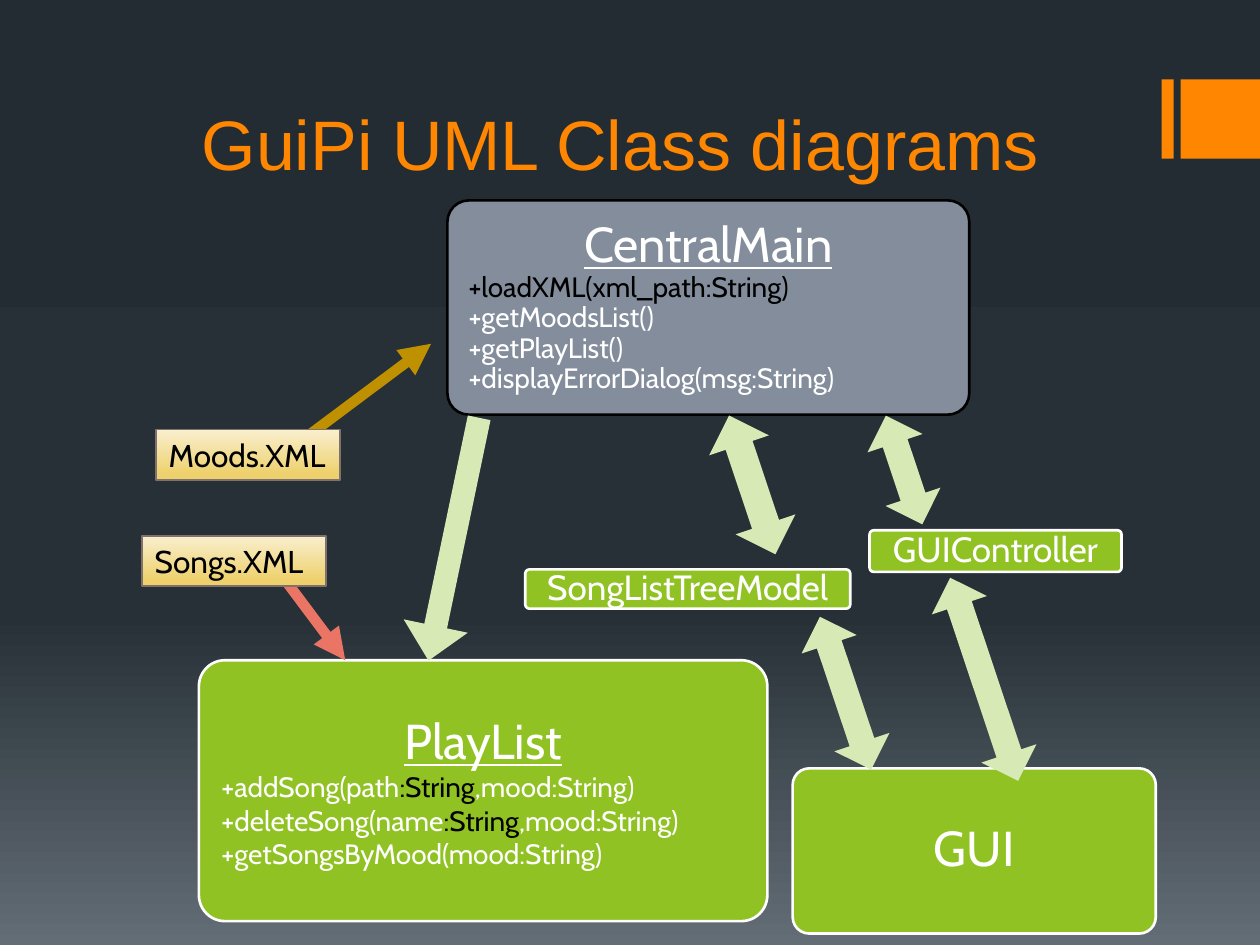
from lxml import etree
from pptx import Presentation
from pptx.dml.color import RGBColor
from pptx.enum.shapes import MSO_CONNECTOR, MSO_SHAPE
from pptx.enum.text import MSO_ANCHOR, MSO_AUTO_SIZE, PP_ALIGN
from pptx.oxml.ns import qn
from pptx.util import Cm, Pt

RECTANGLE = MSO_SHAPE.RECTANGLE
ROUNDED = MSO_SHAPE.ROUNDED_RECTANGLE
DOUBLE_ARROW = MSO_SHAPE.LEFT_RIGHT_ARROW
LEFT_ARROW = MSO_SHAPE.LEFT_ARROW
STRAIGHT = MSO_CONNECTOR.STRAIGHT
TOP, MIDDLE, BOTTOM = MSO_ANCHOR.TOP, MSO_ANCHOR.MIDDLE, MSO_ANCHOR.BOTTOM
LEFT, CENTER = PP_ALIGN.LEFT, PP_ALIGN.CENTER
NO_AUTOFIT = MSO_AUTO_SIZE.NONE

ORANGE, GREEN, PALE_GREEN = "FF8600", "90C223", "D7E9B4"
SLATE, WHITE, BLACK = "838D9B", "FFFFFF", "000000"
BACKDROP = [(0, "242C33"), (65, "273037"), (100, "636D76")]
FILE_FILL = [(0, "F9EFCF"), (88, "EED16D"), (100, "EED16D")]
ARROW_TILT = 71.5


def rgb(value):
    return RGBColor.from_string(value)


def fill_gradient(owner, fill, stops):
    fill.gradient()
    fill.gradient_angle = 270
    stop_list = owner.find(".//" + qn("a:gsLst"))
    for stop in list(stop_list):
        stop_list.remove(stop)
    for percent, color in stops:
        stop = etree.SubElement(stop_list, qn("a:gs"), pos=str(percent * 1000))
        etree.SubElement(stop, qn("a:srgbClr"), val=color)


def add_box(page, kind, box, fill, line=None, width=1.5):
    shape = page.shapes.add_shape(kind, *map(Cm, box))
    shape.shadow.inherit = False
    if isinstance(fill, list):
        fill_gradient(shape.element, shape.fill, fill)
    else:
        shape.fill.solid()
        shape.fill.fore_color.rgb = rgb(fill)
    if line:
        shape.line.color.rgb = rgb(line)
        shape.line.width = Pt(width)
    else:
        shape.line.fill.background()
    return shape


def write(para, text, font="Cabin", size=16, color=WHITE, underline=False,
          align=LEFT, spacing=1.0, after=0):
    para.alignment = align
    para.line_spacing = spacing
    para.space_before = Pt(0)
    para.space_after = Pt(after)
    span = para.add_run()
    span.text = text
    span.font.name = font
    span.font.size = Pt(size)
    span.font.color.rgb = rgb(color)
    span.font.underline = underline


def set_frame(shape, anchor, margins=(0.25, 0.13)):
    frame = shape.text_frame
    frame.word_wrap = True
    frame.auto_size = NO_AUTOFIT
    frame.vertical_anchor = anchor
    frame.margin_left = frame.margin_right = Cm(margins[0])
    frame.margin_top = frame.margin_bottom = Cm(margins[1])
    return frame


def add_accent(page, box):
    left, top, width, height = box
    block = height
    add_box(page, RECTANGLE, (left, top, 0.24, height), ORANGE)
    add_box(page, RECTANGLE, (left + width - block, top, block, height), ORANGE)


def place_title(page, box, text):
    title = page.shapes.title
    title.left, title.top, title.width, title.height = map(Cm, box)
    frame = set_frame(title, BOTTOM)
    write(frame.paragraphs[0], text, font="Arial", size=40, color=ORANGE, align=CENTER)


def add_class(page, box, name, methods=(), fill=GREEN, line=WHITE, size=28,
              spacing=0.9):
    shape = add_box(page, ROUNDED, box, fill, line)
    shape.adjustments[0] = 0.1
    frame = set_frame(shape, MIDDLE, margins=(0.3, 0.3))
    write(frame.paragraphs[0], name, size=size, underline=bool(methods),
          align=CENTER, spacing=spacing, after=0 if methods else 9.8)
    for method in methods:
        para = frame.add_paragraph()
        for text, color in method:
            write(para, text, color=color, spacing=spacing)


def add_file(page, box, name):
    shape = add_box(page, RECTANGLE, box, FILE_FILL, "80716A", 1)
    write(set_frame(shape, TOP).paragraphs[0], name, size=18, color=BLACK)


def add_block_arrow(page, box, kind=DOUBLE_ARROW, tilt=ARROW_TILT, shaft=0.449, head=0.5):
    arrow = add_box(page, kind, box, PALE_GREEN)
    arrow.adjustments[0] = shaft
    arrow.adjustments[1] = head
    arrow.rotation = tilt


def add_load_arrow(page, start, end, color):
    arrow = page.shapes.add_connector(STRAIGHT, *map(Cm, start + end))
    arrow.line.color.rgb = rgb(color)
    arrow.line.width = Pt(6)
    etree.SubElement(arrow.line._get_or_add_ln(), qn("a:tailEnd"), type="triangle")
    etree.SubElement(arrow.element.spPr, qn("a:effectLst"))


def main():
    deck = Presentation()
    deck.slide_width, deck.slide_height = Cm(25.4), Cm(19.05)
    page = deck.slides.add_slide(deck.slide_layouts[5])
    fill_gradient(page.background.fill and page.element, page.background.fill, BACKDROP)

    add_accent(page, (23.42, 1.6, 1.98, 1.6))
    place_title(page, (2.34, 0.64, 20.32, 3.2), "GuiPi UML Class diagrams")

    add_class(page, (9.02, 4.04, 10.52, 4.32), "CentralMain", [
        [("+loadXML(xml_path:String)", BLACK)],
        [("+getMoodsList()", WHITE)],
        [("+getPlayList()", WHITE)],
        [("+displayErrorDialog(msg:String)", WHITE)],
    ], fill=SLATE, line=BLACK)
    song_methods = [
        [(start, WHITE), (":String", BLACK), (",mood:String)", WHITE)]
        for start in ("+addSong(path", "+deleteSong(name")
    ]
    add_class(page, (4.01, 13.31, 11.46, 5.26), "PlayList",
              song_methods + [[("+getSongsByMood(mood:String)", WHITE)]], spacing=1.0)
    add_class(page, (15.98, 15.49, 7.32, 3.33), "GUI")

    add_load_arrow(page, (5.59, 11.48), (6.96, 13.31), "EB7564")
    add_load_arrow(page, (6.27, 8.74), (8.69, 6.93), "BF9000")
    add_file(page, (2.87, 10.8, 3.71, 1.02), "Songs.XML")
    add_file(page, (3.15, 8.66, 3.71, 1.02), "Moods.XML")

    add_class(page, (10.59, 11.48, 6.55, 0.79), "SongListTreeModel", size=20)
    add_class(page, (17.53, 10.69, 5.08, 0.84), "GUIController", size=20)

    add_block_arrow(page, (6.65, 10.21, 5, 1.32), LEFT_ARROW, 281.8, 0.354, 0.54)
    for box in [
        (13.69, 9.14, 2.95, 1.27),
        (17.07, 8.89, 2.31, 1.17),
        (15.42, 13.39, 3.25, 1.17),
        (17.68, 13.11, 4.32, 1.17),
    ]:
        add_block_arrow(page, box)

    deck.save("out.pptx")


if __name__ == "__main__":
    main()
